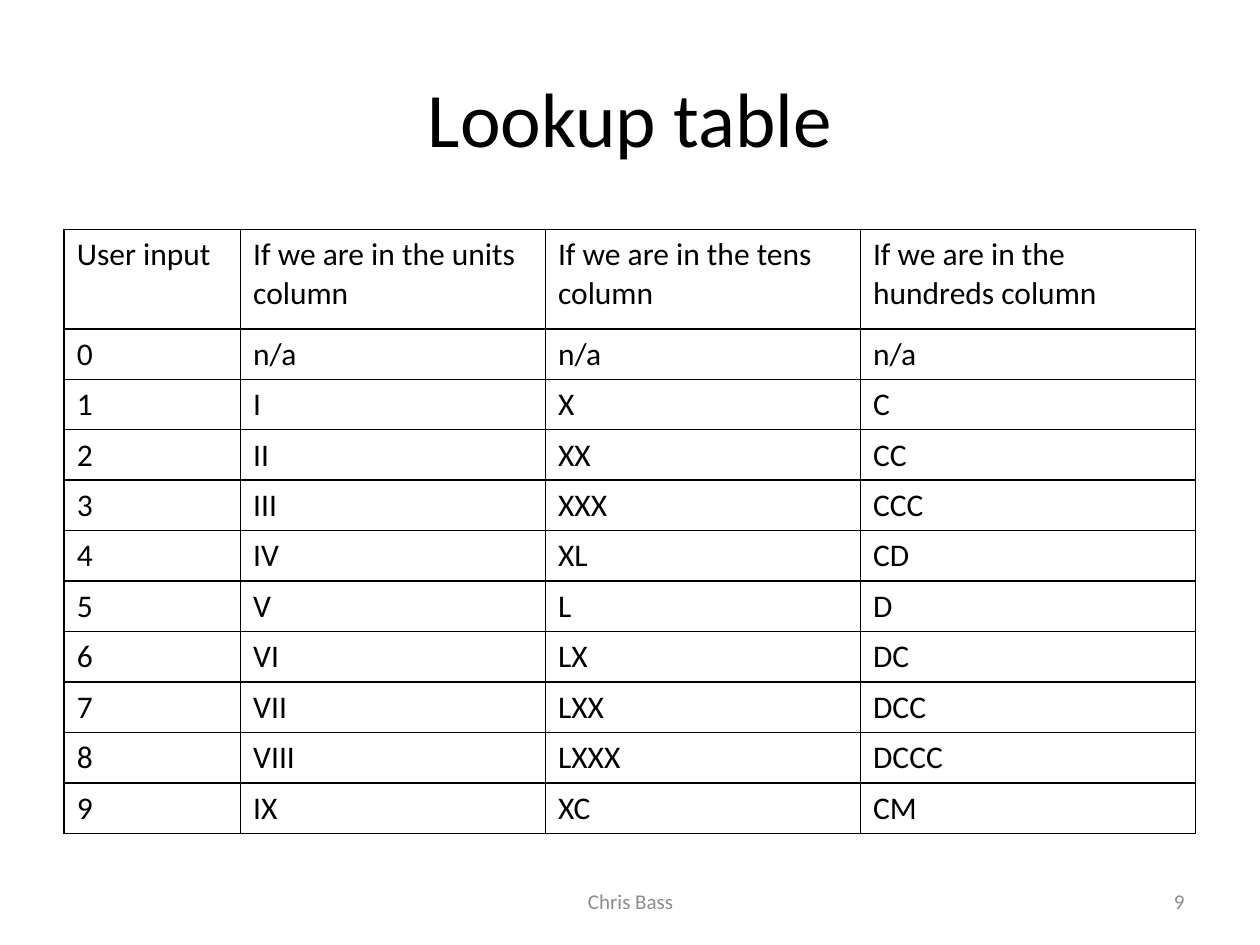
from dataclasses import dataclass

import pptx
import pptx.dml.color
import pptx.enum.text
import pptx.oxml
import pptx.oxml.ns
import pptx.util

Inches = pptx.util.Inches
Pt = pptx.util.Pt
Align = pptx.enum.text.PP_ALIGN
FONT = "Calibri"
COLOURS = {"ink": "000000", "footer": "8C8C8C"}


@dataclass
class Label:
    text: str
    left: float
    top: float
    width: float
    height: float
    size: int
    colour: str
    align: Align


LABELS = [
    Label("Lookup table", 0.5, 0.3, 9, 1.25, 44, "ink", Align.CENTER),
    Label("Chris Bass", 3.42, 6.95, 3.17, 0.4, 12, "footer", Align.CENTER),
    Label("9", 7.17, 6.95, 2.33, 0.4, 12, "footer", Align.RIGHT),
]

HEADINGS = ["User input"] + [
    f"If we are in the {place} column" for place in ("units", "tens", "hundreds")
]
COLUMN_WIDTHS = [1.4, 2.42, 2.5, 2.66]
HEADING_HEIGHT, DIGIT_HEIGHT = 0.79, 0.4
# Symbols for one, five and ten of each place
PLACE_SYMBOLS = ["IVX", "XLC", "CDM"]


def numeral(digit: int, symbols: str) -> str:
    if digit == 0:
        return "n/a"
    one, five, ten = symbols
    if digit in (4, 9):
        return one + (five if digit == 4 else ten)
    return five * (digit // 5) + one * (digit % 5)


def style_paragraph(paragraph, size: int, colour: str, align: Align) -> None:
    paragraph.alignment = align
    paragraph.font.name = FONT
    paragraph.font.size = Pt(size)
    paragraph.font.color.rgb = pptx.dml.color.RGBColor.from_string(COLOURS[colour])


def add_label(slide, label: Label) -> None:
    box = slide.shapes.add_textbox(
        Inches(label.left), Inches(label.top), Inches(label.width), Inches(label.height)
    )
    frame = box.text_frame
    frame.word_wrap = True
    frame.vertical_anchor = pptx.enum.text.MSO_ANCHOR.MIDDLE
    frame.text = label.text
    style_paragraph(frame.paragraphs[0], label.size, label.colour, label.align)


def add_borders(cell) -> None:
    properties = cell._tc.get_or_add_tcPr()
    for position, side in enumerate(("lnL", "lnR", "lnT", "lnB")):
        border = pptx.oxml.parse_xml(
            f'<a:{side} {pptx.oxml.ns.nsdecls("a")} w="{Pt(1)}"><a:solidFill>'
            f'<a:srgbClr val="{COLOURS["ink"]}"/></a:solidFill></a:{side}>'
        )
        properties.insert(position, border)


def add_lookup_table(slide, rows: list[list[str]]) -> None:
    height = HEADING_HEIGHT + DIGIT_HEIGHT * (len(rows) - 1)
    lookup = slide.shapes.add_table(
        len(rows), len(COLUMN_WIDTHS), Inches(0.51), Inches(1.82),
        Inches(sum(COLUMN_WIDTHS)), Inches(height),
    ).table
    lookup.first_row = False
    lookup.horz_banding = False
    for column, width in zip(lookup.columns, COLUMN_WIDTHS):
        column.width = Inches(width)
    for index, texts in enumerate(rows):
        lookup.rows[index].height = Inches(DIGIT_HEIGHT if index else HEADING_HEIGHT)
        for cell, text in zip(lookup.rows[index].cells, texts):
            cell.text = text
            cell.fill.background()
            add_borders(cell)
            style_paragraph(cell.text_frame.paragraphs[0], 18, "ink", Align.LEFT)


presentation = pptx.Presentation()
presentation.slide_width, presentation.slide_height = Inches(10), Inches(7.5)
slide = presentation.slides.add_slide(presentation.slide_layouts[6])

# Title and footer
for label in LABELS:
    add_label(slide, label)

# Roman numerals by digit and place
digit_rows = [
    [str(digit)] + [numeral(digit, symbols) for symbols in PLACE_SYMBOLS]
    for digit in range(10)
]
add_lookup_table(slide, [HEADINGS] + digit_rows)

presentation.save("out.pptx")
